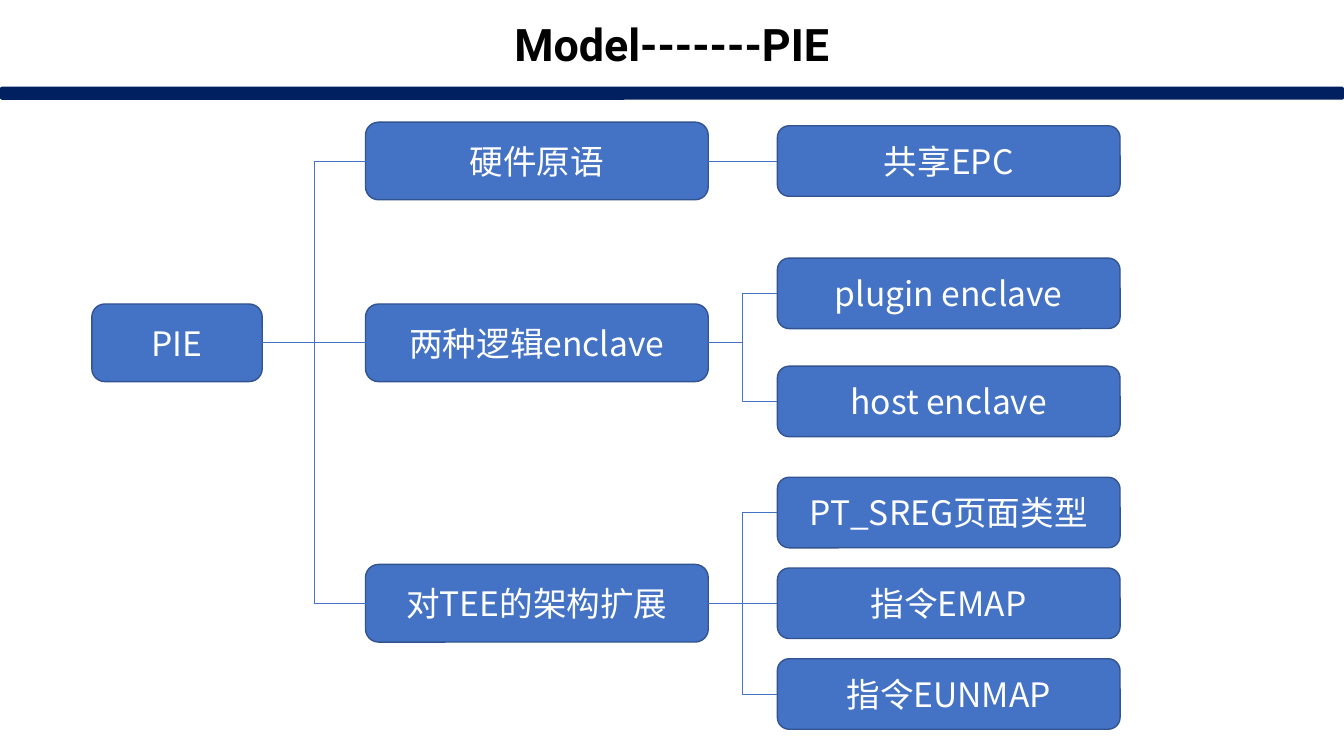
from lxml import etree
from pptx import Presentation
from pptx import util as u
from pptx.dml.color import RGBColor
from pptx.enum import shapes, text
from pptx.oxml import ns

WIDTH, HEIGHT = u.Inches(13.33), u.Inches(7.5)
COL, ROW = WIDTH / 100, HEIGHT / 100
NAVY, BLUE, EDGE = "002060", "4472C4", "325491"
LEVELS = [(6.83, 12.68, 10.27), (27.2, 25.5, 10.27), (57.84, 25.5, 9.33)]
TREE = ("PIE", 45.35, [
    ("硬件原语", 21.3, [("共享EPC", 21.3, [])]),
    ("两种逻辑enclave", 45.35, [
        ("plugin enclave", 38.8, []),
        ("host enclave", 53.1, []),
    ]),
    ("对TEE的架构扩展", 79.8, [
        ("PT_SREG⻚⾯类型", 67.8, []),
        ("指令EMAP", 79.8, []),
        ("指令EUNMAP", 91.8, []),
    ]),
])
LEFT_SITE, RIGHT_SITE = 1, 3


def color(value):
    return RGBColor.from_string(value)


def grid(x, y, w, h):
    return [u.Emu(round(n)) for n in (x * COL, y * ROW, w * COL, h * ROW)]


def write(sp, words, size, font, ink, bold=False):
    tf = sp.text_frame
    tf.word_wrap = True
    p = tf.paragraphs[0]
    p.alignment = text.PP_ALIGN.CENTER
    r = p.add_run()
    r.text = words
    r.font.size = u.Pt(size)
    r.font.name = font
    r.font.bold = bold
    r.font.color.rgb = color(ink)
    etree.SubElement(r.font._element, ns.qn("a:ea"), typeface=font)
    return tf


def add_box(s, area, fill, line=None):
    sp = s.shapes.add_shape(shapes.MSO_SHAPE.ROUNDED_RECTANGLE, *grid(*area))
    sp.shadow.inherit = False
    sp.fill.solid()
    sp.fill.fore_color.rgb = color(fill)
    if line:
        sp.line.color.rgb = color(line)
        sp.line.width = u.Pt(1)
    else:
        sp.line.fill.background()
    return sp


def add_link(s, parent, child, level_row):
    kind = shapes.MSO_CONNECTOR.STRAIGHT if level_row else shapes.MSO_CONNECTOR.ELBOW
    link = s.shapes.add_connector(kind, 0, 0, 0, 0)
    link.begin_connect(parent, RIGHT_SITE)
    link.end_connect(child, LEFT_SITE)
    link.line.color.rgb = color(BLUE)
    link.line.width = u.Pt(0.5)
    etree.SubElement(link._element.spPr, ns.qn("a:effectLst"))


def add_node(s, node, depth=0):
    words, middle, children = node
    left, width, height = LEVELS[depth]
    sp = add_box(s, (left, middle - height / 2, width, height), BLUE, EDGE)
    tf = write(sp, words, 24, "Noto Sans CJK SC", "FFFFFF")
    tf.vertical_anchor = text.MSO_ANCHOR.MIDDLE
    for child in children:
        add_link(s, sp, add_node(s, child, depth + 1), child[1] == middle)
    return sp


def add_title(s, words):
    add_box(s, (0, 11.47, 100, 1.73), NAVY)
    sp = s.shapes.add_textbox(*grid(22.73, 1.6, 54.54, 8.53))
    tf = write(sp, words, 32, "Roboto", "000000", bold=True)
    tf.auto_size = text.MSO_AUTO_SIZE.SHAPE_TO_FIT_TEXT


def main():
    prs = Presentation()
    prs.slide_width, prs.slide_height = WIDTH, HEIGHT
    s = prs.slides.add_slide(prs.slide_layouts[6])
    add_title(s, "Model-------PIE")
    add_node(s, TREE)
    prs.save("out.pptx")


if __name__ == "__main__":
    main()
